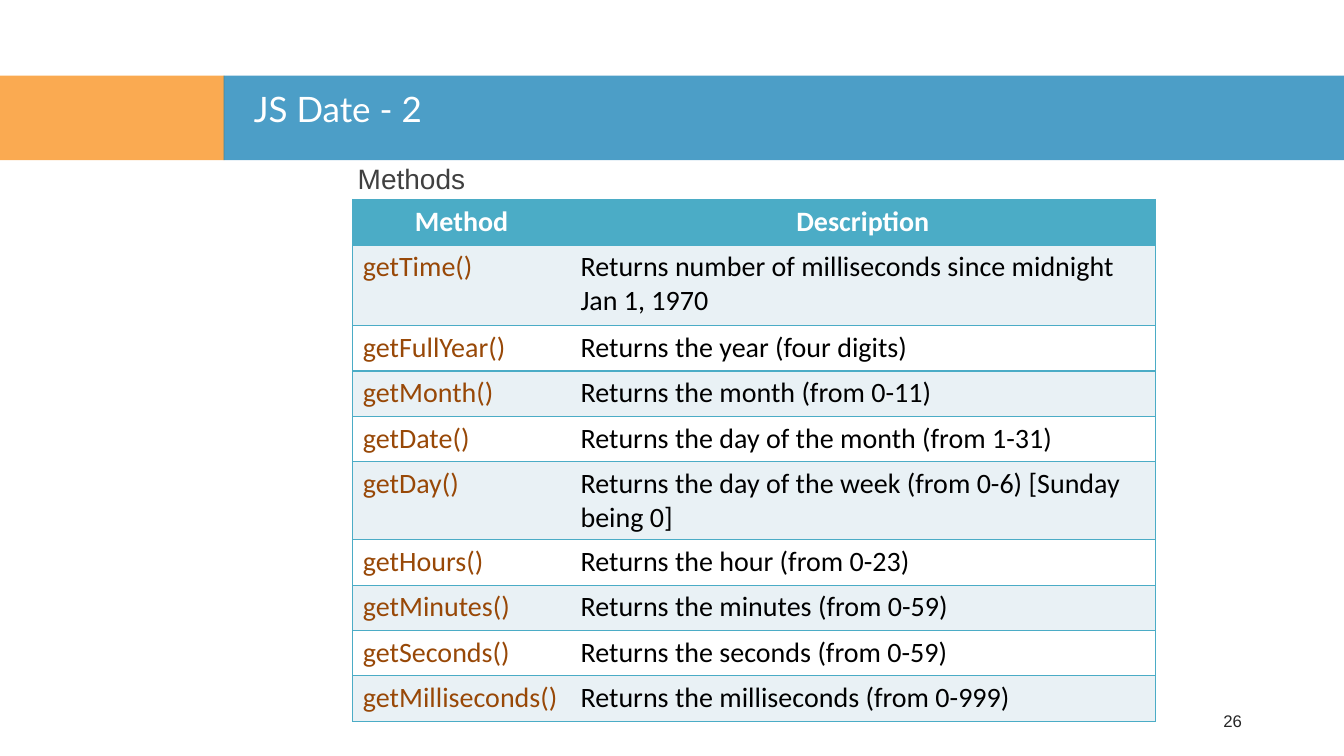
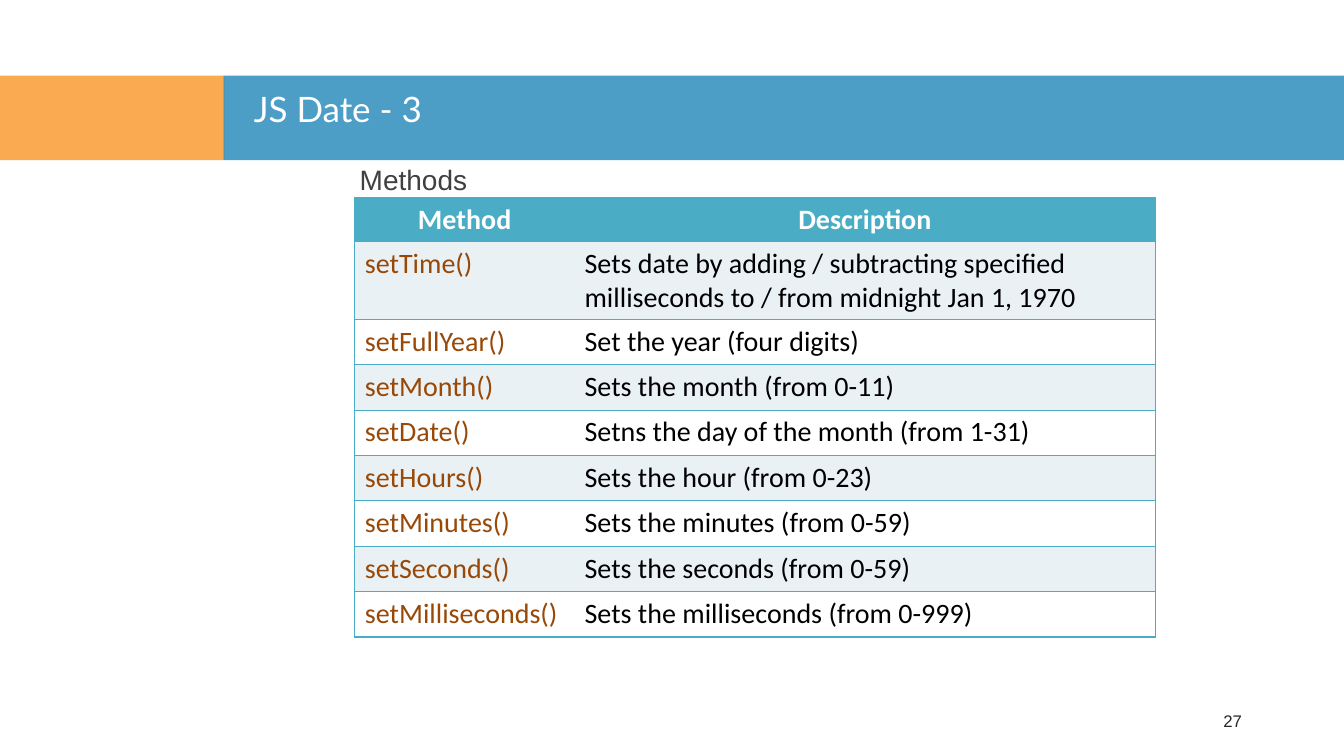
import dataclasses

import lxml.etree
import pptx
import pptx.dml.color
import pptx.enum.shapes
import pptx.enum.text
import pptx.oxml.ns
import pptx.util

RGBColor = pptx.dml.color.RGBColor
Align = pptx.enum.text.PP_ALIGN
Anchor = pptx.enum.text.MSO_ANCHOR

ORANGE = RGBColor(0xF8, 0x86, 0x08)
BLUE = RGBColor(0x00, 0x75, 0xB0)
TEAL = RGBColor(0x4B, 0xAC, 0xC6)
PALE_BLUE = RGBColor(0xE9, 0xF1, 0xF5)
BROWN = RGBColor(0x98, 0x48, 0x07)
DARK_GREY = RGBColor(0x40, 0x40, 0x40)
NEAR_BLACK = RGBColor(0x26, 0x26, 0x26)
WHITE = RGBColor(0xFF, 0xFF, 0xFF)
BLACK = RGBColor(0x00, 0x00, 0x00)

# The slide is a grid of 40 columns and 30 rows.
COLUMN = pptx.util.Inches(40 / 3) // 40
ROW = pptx.util.Inches(7.5) // 30
LINE_ROWS = 1.8


@dataclasses.dataclass
class Box:
    """A rectangle in grid columns and rows."""
    left: float
    top: float
    width: float
    height: float

    def inside(self, left, top, width, height):
        return Box(self.left + left, self.top + top, width, height)

    def lengths(self):
        return (round(self.left * COLUMN), round(self.top * ROW),
                round(self.width * COLUMN), round(self.height * ROW))


BAND = Box(0, 3, 40, 3.36)
PAGE_NUMBER = Box(28.26, 27.8, 9, 1.6)

GET_METHODS = [
    ("getTime()", "Returns number of milliseconds since midnight Jan 1, 1970"),
    ("getFullYear()", "Returns the year (four digits)"),
    ("getMonth()", "Returns the month (from 0-11)"),
    ("getDate()", "Returns the day of the month (from 1-31)"),
    ("getDay()", "Returns the day of the week (from 0-6) [Sunday being 0]"),
    ("getHours()", "Returns the hour (from 0-23)"),
    ("getMinutes()", "Returns the minutes (from 0-59)"),
    ("getSeconds()", "Returns the seconds (from 0-59)"),
    ("getMilliseconds()", "Returns the milliseconds (from 0-999)"),
]
SET_METHODS = [
    ("setTime()", "Sets date by adding / subtracting specified "
                  "milliseconds to / from midnight Jan 1, 1970"),
    ("setFullYear()", "Set the year (four digits)"),
    ("setMonth()", "Sets the month (from 0-11)"),
    ("setDate()", "Setns the day of the month (from 1-31)"),
    ("setHours()", "Sets the hour (from 0-23)"),
    ("setMinutes()", "Sets the minutes (from 0-59)"),
    ("setSeconds()", "Sets the seconds (from 0-59)"),
    ("setMilliseconds()", "Sets the milliseconds (from 0-999)"),
]


def write_text(frame, text, *, font, size, color, bold=False,
               align=Align.LEFT, spacing=1.0):
    para = frame.paragraphs[0]
    para.alignment = align
    para.line_spacing = spacing
    span = para.add_run()
    span.text = text
    span.font.name = font
    span.font.size = pptx.util.Pt(size)
    span.font.bold = bold
    span.font.color.rgb = color


def add_text(page, box, text, *, anchor=Anchor.TOP, **text_format):
    frame = page.shapes.add_textbox(*box.lengths()).text_frame
    frame.word_wrap = True
    frame.vertical_anchor = anchor
    write_text(frame, text, **text_format)


def add_child(parent, tag, **attributes):
    return lxml.etree.SubElement(parent, pptx.oxml.ns.qn(tag), attributes)


def add_block(page, box, color):
    """Add a plain rectangle of 70 % opacity."""
    block = page.shapes.add_shape(
        pptx.enum.shapes.MSO_SHAPE.RECTANGLE, *box.lengths())
    block.shadow.inherit = False
    block.line.fill.background()
    block.fill.solid()
    block.fill.fore_color.rgb = color
    tint = block.fill._xPr.find(".//" + pptx.oxml.ns.qn("a:srgbClr"))
    add_child(tint, "a:alpha", val="70000")


def add_title_band(page, box, title):
    add_block(page, box.inside(0, 0, 6.68, box.height), ORANGE)
    add_block(page, box.inside(6.66, 0, box.width - 6.66, box.height), BLUE)
    add_text(page, box.inside(7.26, 0.48, 31.74, 2.48), title,
             font="Lato", size=25, color=WHITE, spacing=0.9)


def border_cell(cell, sides):
    """Draw the named sides (L, R, T, B) in teal and clear the others."""
    properties = cell._tc.get_or_add_tcPr()
    for side in "LRTB":
        line = add_child(properties, f"a:ln{side}", w=str(pptx.util.Pt(1)))
        if side in sides:
            fill = add_child(line, "a:solidFill")
            add_child(fill, "a:srgbClr", val=str(TEAL))
        else:
            add_child(line, "a:noFill")


def add_method_table(page, box, methods, column_widths, row_heights):
    rows = [("Method", "Description"), *methods]
    table = page.shapes.add_table(len(rows), 2, *box.lengths()).table
    table.horz_banding = False
    for column, width in zip(table.columns, column_widths):
        column.width = round(width * COLUMN)
    for row_index, texts in enumerate(rows):
        height = row_heights.get(row_index, LINE_ROWS)
        table.rows[row_index].height = round(height * ROW)
        is_header = row_index == 0
        band_color = PALE_BLUE if row_index % 2 else WHITE
        for column_index, text in enumerate(texts):
            cell = table.cell(row_index, column_index)
            border_cell(cell, "LR"[column_index] + "TB")
            cell.fill.solid()
            cell.fill.fore_color.rgb = TEAL if is_header else band_color
            write_text(cell.text_frame, text, font="Calibri", size=20,
                       color=WHITE if is_header
                       else (BROWN, BLACK)[column_index],
                       bold=is_header,
                       align=Align.CENTER if is_header else Align.LEFT)


def add_method_panel(page, box, methods, table_top, column_widths,
                     row_heights):
    """Add the heading and, below it, the table of methods."""
    add_text(page, box.inside(0, 0, box.width, 1.8), "Methods",
             font="Arial", size=20, color=DARK_GREY, spacing=0.9)
    table_box = box.inside(0.15, table_top, sum(column_widths),
                           box.height - table_top)
    add_method_table(page, table_box, methods, column_widths, row_heights)


def add_method_slide(deck, title, number, panel, **panel_parts):
    page = deck.slides.add_slide(deck.slide_layouts[6])
    add_title_band(page, BAND, title)
    add_method_panel(page, panel, **panel_parts)
    add_text(page, PAGE_NUMBER, str(number), anchor=Anchor.MIDDLE,
             font="Arial", size=12, color=NEAR_BLACK, align=Align.RIGHT)


def main():
    deck = pptx.Presentation()
    deck.slide_width = 40 * COLUMN
    deck.slide_height = 30 * ROW
    add_method_slide(deck, "JS Date - 2", 26, Box(10.35, 6.36, 23.85, 22.2),
                     methods=GET_METHODS, table_top=1.56,
                     column_widths=(6.48, 17.4),
                     row_heights={1: 3.2, 5: 3.1})
    add_method_slide(deck, "JS Date - 3", 27, Box(10.41, 6.4, 23.85, 18.7),
                     methods=SET_METHODS, table_top=1.44,
                     column_widths=(6.54, 17.28),
                     row_heights={0: 1.74, 1: 3.1})
    deck.save("out.pptx")


if __name__ == "__main__":
    main()
